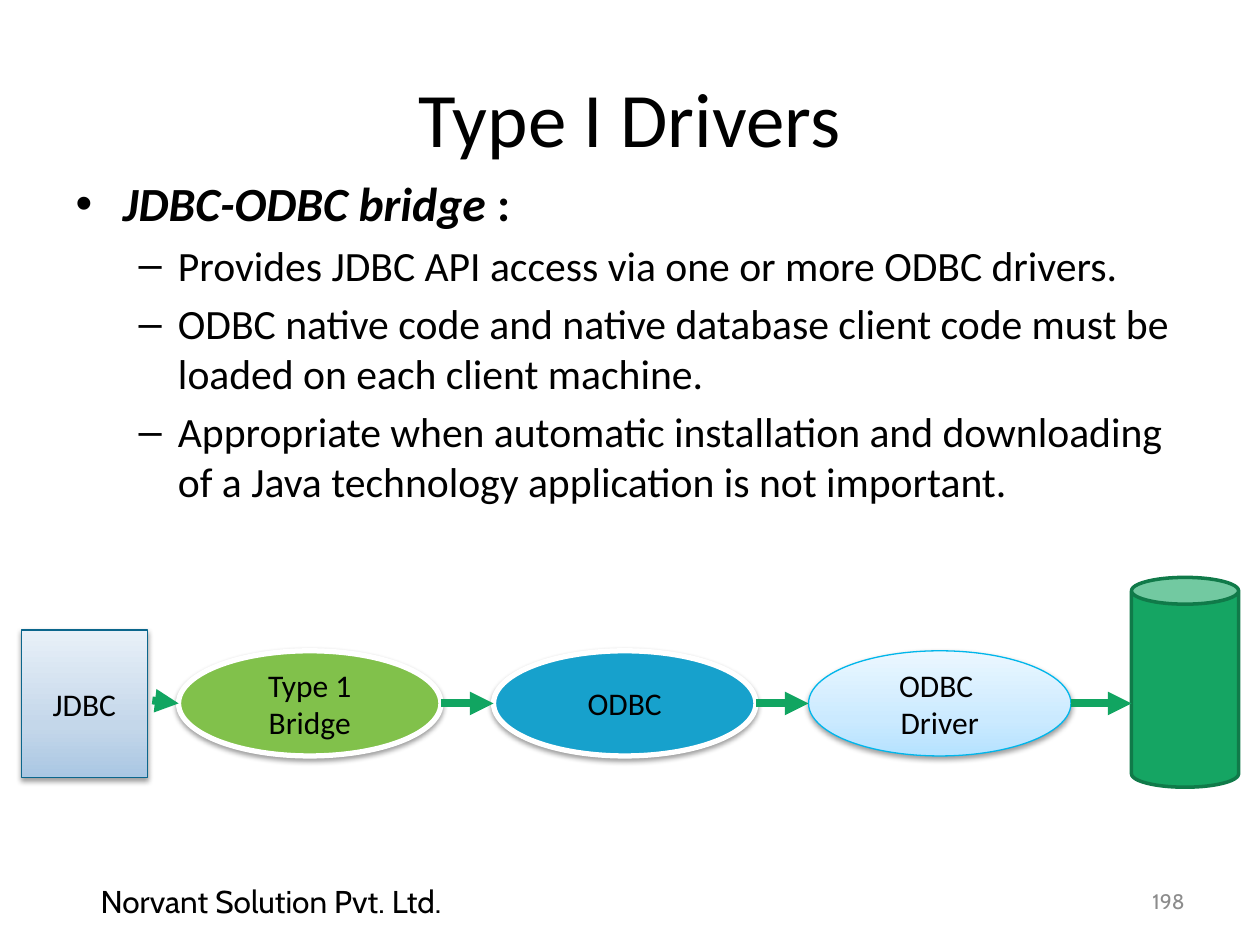
from copy import deepcopy
from dataclasses import dataclass

from pptx import Presentation
from pptx import util as u
from pptx.dml.color import RGBColor
from pptx.enum import shapes, text
from pptx.oxml import parse_xml
from pptx.oxml.ns import nsdecls, qn


@dataclass(frozen=True)
class Theme:
    font: str = "Calibri"
    footer_font: str = "Cabin"
    ink: str = "000000"
    muted: str = "8C8C8C"
    white: str = "FFFFFF"
    arrow: str = "11A561"
    database: str = "15A563"
    database_edge: str = "107A49"
    api: tuple = ("AAC7E3", "C4D7EA", "E8F0F8")
    api_edge: str = "0B668C"
    bridge: str = "81C14B"
    odbc: str = "17A1CC"
    driver: tuple = ("B5E2FF", "CBEAFF", "EBF7FF")
    driver_edge: str = "00B6EB"
    stops: tuple = (0, 0.35, 1)
    title_size: float = 44
    bullet_size: float = 27.2
    sub_size: float = 23.8
    label_size: float = 18
    number_size: float = 12


T = Theme()
MIDDLE_Y = 14.18
OVAL_LEFT, OVAL_STEP, OVAL_W, OVAL_H = 3.6, 6.35, 5.29, 2.12
CAN_LEFT = 22.81


def rgb(value):
    return RGBColor.from_string(value)


def set_font(font, size, color=T.ink, name=T.font):
    font.name = name
    font.size = u.Pt(size)
    font.color.rgb = rgb(color)


def place(sp, left, top, width, height):
    sp.left, sp.top, sp.width, sp.height = map(u.Cm, (left, top, width, height))


def add_title(slide, title):
    sp = slide.shapes.title
    place(sp, 1.27, 0.76, 22.86, 3.18)
    tf = sp.text_frame
    tf.text = title
    tf.auto_size = text.MSO_AUTO_SIZE.NONE
    set_font(tf.paragraphs[0].font, T.title_size)


def add_bullets(slide, heading, items):
    sp = slide.placeholders[1]
    place(sp, 1.27, 3.38, 22.86, 7.42)
    tf = sp.text_frame
    tf.auto_size = text.MSO_AUTO_SIZE.NONE
    p = tf.paragraphs[0]
    p.space_before = u.Pt(0)
    set_font(p.font, T.bullet_size)
    p.font.bold = True
    r = p.add_run()
    r.text = heading
    r.font.italic = True
    p.add_run().text = " :"
    for item in items:
        p = tf.add_paragraph()
        p.text = item
        p.level = 1
        set_font(p.font, T.sub_size)


def add_footer(slide, words, left, width, size, color, align):
    sp = slide.shapes.add_textbox(*map(u.Cm, (left, 17.65, width, 1.02)))
    tf = sp.text_frame
    tf.word_wrap = True
    tf.vertical_anchor = text.MSO_ANCHOR.MIDDLE
    p = tf.paragraphs[0]
    p.text = words
    p.alignment = align
    set_font(p.font, size, color, T.footer_font)


def fill_shape(sp, fill):
    if isinstance(fill, str):
        sp.fill.solid()
        sp.fill.fore_color.rgb = rgb(fill)
        return
    sp.fill.gradient()
    sp.fill.gradient_angle = 90
    stops = sp._element.spPr.find(".//" + qn("a:gsLst"))
    stops.append(deepcopy(stops[0]))
    for stop, position, color in zip(sp.fill.gradient_stops, T.stops, fill):
        stop.position = position
        stop.color.rgb = rgb(color)


def add_node(slide, kind, box, fill, edge, edge_width, lines=()):
    sp = slide.shapes.add_shape(kind, *map(u.Cm, box))
    sp.shadow.inherit = False
    fill_shape(sp, fill)
    sp.line.color.rgb = rgb(edge)
    sp.line.width = u.Pt(edge_width)
    tf = sp.text_frame
    tf.word_wrap = True
    tf.vertical_anchor = text.MSO_ANCHOR.MIDDLE
    for i, line in enumerate(lines):
        p = tf.add_paragraph() if i else tf.paragraphs[0]
        p.text = line
        p.alignment = text.PP_ALIGN.CENTER
        set_font(p.font, T.label_size)
    return sp


def add_shadow(sp):
    effects = sp._element.spPr.find(qn("a:effectLst"))
    effects.append(parse_xml(
        f'<a:outerShdw {nsdecls("a")} blurRad="39370" dist="20320" dir="5400000" rotWithShape="0">'
        f'<a:srgbClr val="{T.ink}"><a:alpha val="38000"/></a:srgbClr></a:outerShdw>'))


def add_arrow(slide, x1, y1, x2, y2):
    c = slide.shapes.add_connector(
        shapes.MSO_CONNECTOR.STRAIGHT, *map(u.Cm, (x1, y1, x2, y2)))
    c.line.color.rgb = rgb(T.arrow)
    c.line.width = u.Pt(4.5)
    c.line._get_or_add_ln().append(
        parse_xml(f'<a:tailEnd {nsdecls("a")} type="triangle"/>'))
    c._element.spPr.append(parse_xml(f'<a:effectLst {nsdecls("a")}/>'))


def add_driver_chain(slide):
    kinds = shapes.MSO_SHAPE
    add_shadow(add_node(slide, kinds.RECTANGLE, (0.43, 12.7, 2.54, 2.97),
                        T.api, T.api_edge, 0.75, ["JDBC"]))
    ovals = [
        (T.bridge, T.white, 3, ["Type 1 Bridge"]),
        (T.odbc, T.white, 3, ["ODBC"]),
        (T.driver, T.driver_edge, 0.75, ["ODBC ", "Driver"]),
    ]
    lefts = [OVAL_LEFT + i * OVAL_STEP for i in range(len(ovals))]
    for left, style in zip(lefts, ovals):
        box = (left, MIDDLE_Y - OVAL_H / 2, OVAL_W, OVAL_H)
        add_shadow(add_node(slide, kinds.OVAL, box, *style))
    add_node(slide, kinds.CAN, (CAN_LEFT, 11.64, 2.16, 4.23),
             T.database, T.database_edge, 2)
    add_arrow(slide, 3.07, 14.12, OVAL_LEFT, MIDDLE_Y)
    for left, target in zip(lefts, lefts[1:] + [CAN_LEFT]):
        add_arrow(slide, left + OVAL_W, MIDDLE_Y, target, MIDDLE_Y)


def main():
    prs = Presentation()
    prs.slide_width, prs.slide_height = u.Cm(25.4), u.Cm(19.05)
    slide = prs.slides.add_slide(prs.slide_layouts[1])
    add_title(slide, "Type I Drivers")
    add_bullets(slide, "JDBC-ODBC bridge", [
        "Provides JDBC API access via one or more ODBC drivers.",
        "ODBC native code and native database client code must be loaded on each client machine.",
        "Appropriate when automatic installation and downloading of a Java technology "
        "application is not important.",
    ])
    add_footer(slide, "Norvant Solution Pvt. Ltd.", 1.78, 9.65,
               T.label_size, T.ink, text.PP_ALIGN.LEFT)
    add_footer(slide, "198", 22.43, 1.7,
               T.number_size, T.muted, text.PP_ALIGN.RIGHT)
    add_driver_chain(slide)
    prs.save("out.pptx")


if __name__ == "__main__":
    main()
